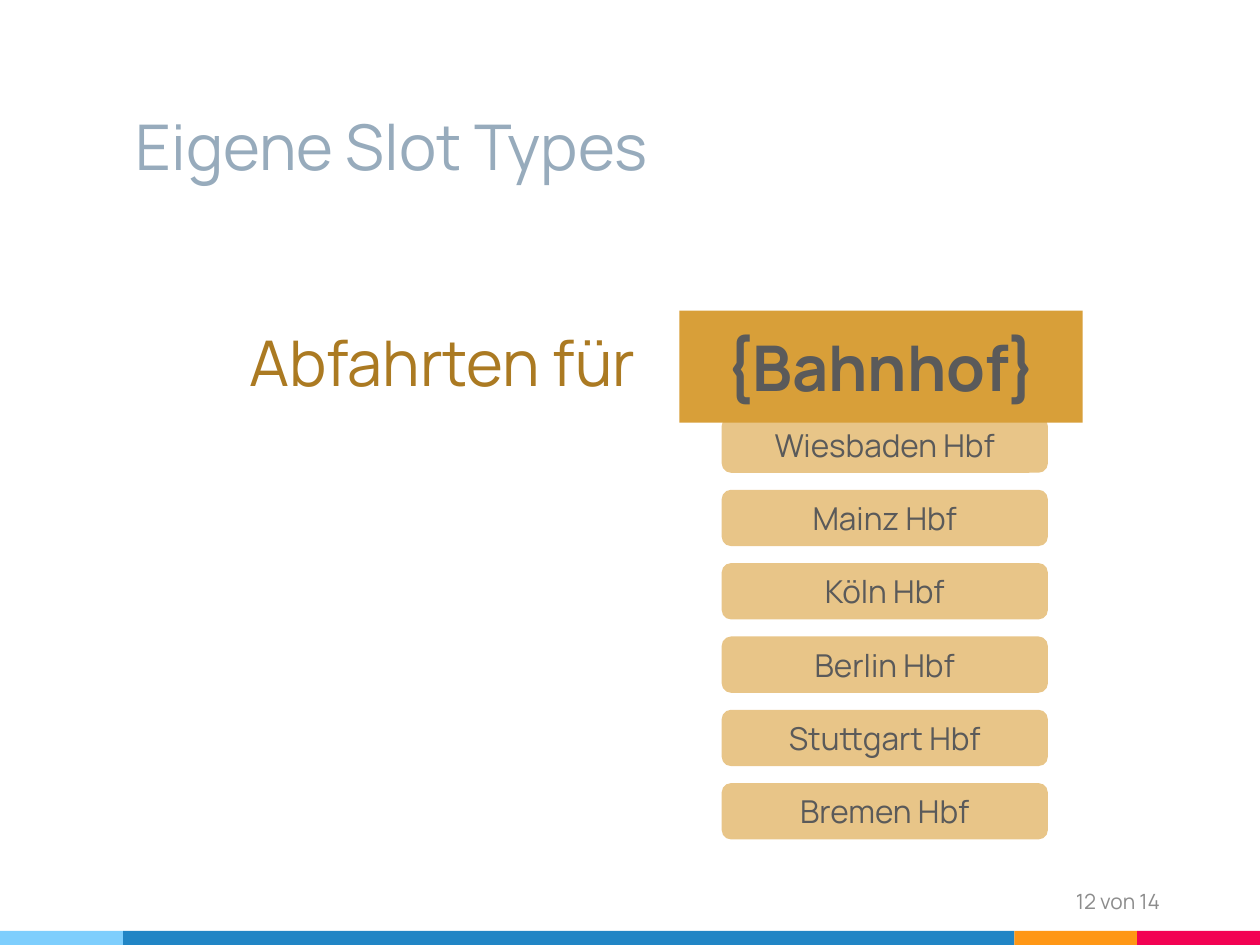
"""Build the slide about custom slot types with its list of station values."""
from pptx import Presentation
from pptx.dml.color import RGBColor
from pptx.enum import shapes, text
from pptx.util import Pt

COLORS = {
    "sky": "7ECEFD", "blue": "2185C5", "orange": "FF9715", "red": "F20253",
    "title": "97ABBC", "slot": "D89F39", "station": "E8C588",
    "utterance": "AB7A22", "dark": "5A5A5A", "page": "8C8C8C",
}
STATIONS = ["Wiesbaden Hbf", "Mainz Hbf", "Köln Hbf",
            "Berlin Hbf", "Stuttgart Hbf", "Bremen Hbf"]
STRIPES = [("sky", 70.4), ("blue", 509.2), ("orange", 70.2), ("red", 70.2)]
FONT = "Manrope"


def write(holder, words, size, color, align, anchor, bold=False):
    frame = holder.text_frame
    frame.text = words
    frame.vertical_anchor = anchor
    paragraph = frame.paragraphs[0]
    paragraph.alignment = align
    font = paragraph.runs[0].font
    font.name, font.size, font.bold = FONT, Pt(size), bold
    font.color.rgb = RGBColor.from_string(COLORS[color])


def add_block(slide, kind, box, color):
    block = slide.shapes.add_shape(kind, *map(Pt, box))
    block.shadow.inherit = False
    block.fill.solid()
    block.fill.fore_color.rgb = RGBColor.from_string(COLORS[color])
    block.line.fill.background()
    return block


def add_label(slide, box, words, size, color, align, anchor, wrap=True, inset=None):
    label = slide.shapes.add_textbox(*map(Pt, box))
    frame = label.text_frame
    frame.word_wrap = wrap
    if inset is not None:
        frame.margin_left = frame.margin_right = Pt(inset)
        frame.margin_top = frame.margin_bottom = Pt(inset)
    write(label, words, size, color, align, anchor)
    return label


def add_stripes(slide):
    left = 0
    for color, width in STRIPES:
        add_block(slide, shapes.MSO_SHAPE.RECTANGLE, (left, 532, width, 8), color)
        left += width


def add_stations(slide):
    for row, name in enumerate(STATIONS):
        station = add_block(slide, shapes.MSO_SHAPE.ROUNDED_RECTANGLE,
                            (412.4, 238 + 41.9 * row, 186.4, 32.2), "station")
        write(station, name, 18, "dark", text.PP_ALIGN.CENTER, text.MSO_ANCHOR.MIDDLE)


def add_slot(slide):
    slot = add_block(slide, shapes.MSO_SHAPE.RECTANGLE, (388.2, 177.6, 230.5, 64), "slot")
    write(slot, "{Bahnhof}", 36, "dark", text.PP_ALIGN.CENTER,
          text.MSO_ANCHOR.MIDDLE, bold=True)


def main():
    deck = Presentation()
    deck.slide_width, deck.slide_height = Pt(720), Pt(540)
    slide = deck.slides.add_slide(deck.slide_layouts[6])
    add_stripes(slide)
    add_label(slide, (70.4, 21.6, 509.2, 90), "Eigene Slot Types", 36, "title",
              text.PP_ALIGN.LEFT, text.MSO_ANCHOR.BOTTOM, inset=7.2)
    add_label(slide, (508, 500.5, 162, 28.8), "12 von 14", 12, "page",
              text.PP_ALIGN.RIGHT, text.MSO_ANCHOR.MIDDLE)
    add_stations(slide)
    add_slot(slide)
    utterance = add_label(slide, (135.4, 181.4, 238.3, 51), "Abfahrten für", 36, "utterance",
                          text.PP_ALIGN.LEFT, text.MSO_ANCHOR.TOP, wrap=False)
    utterance.text_frame.auto_size = text.MSO_AUTO_SIZE.SHAPE_TO_FIT_TEXT
    deck.save("out.pptx")


if __name__ == "__main__":
    main()
